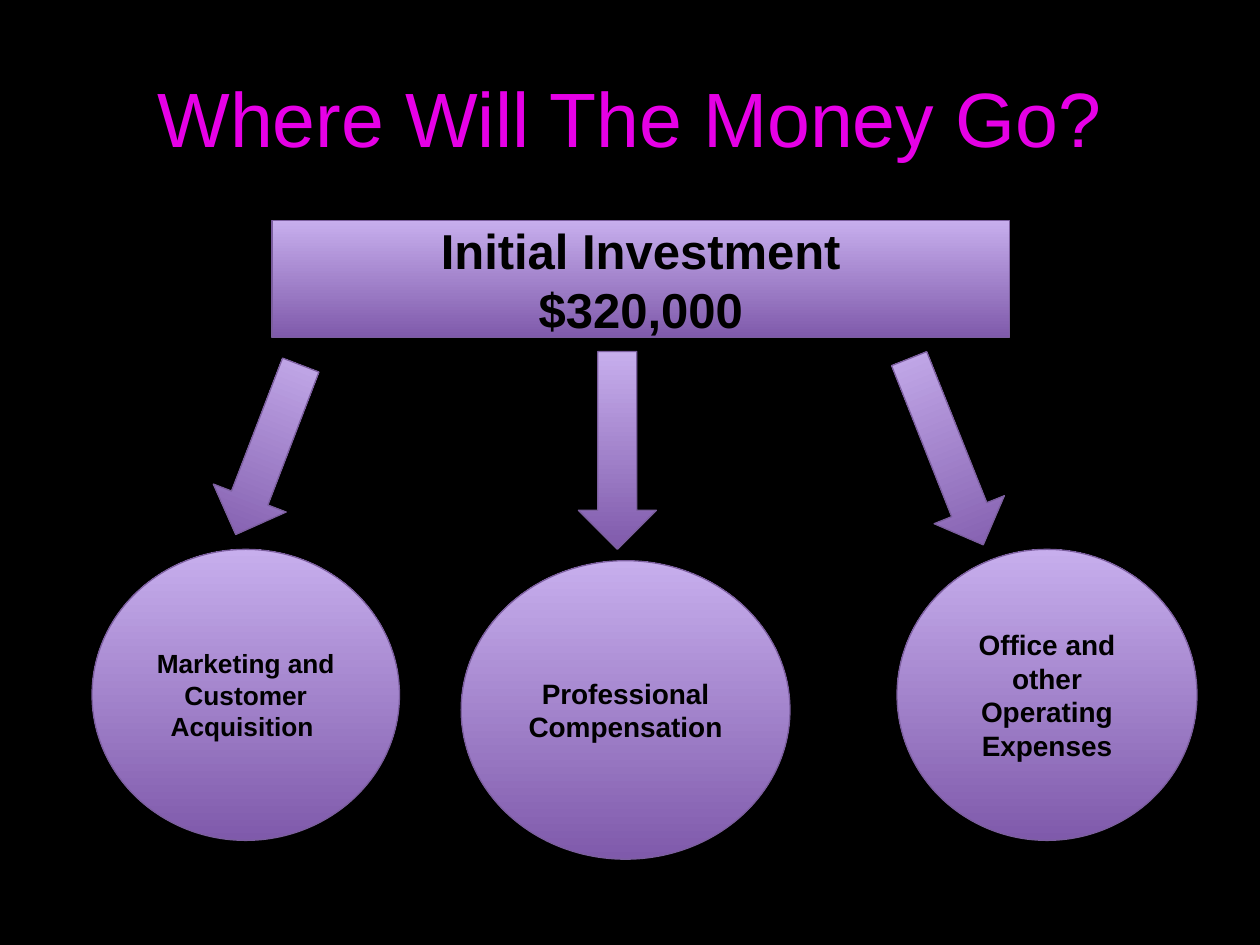
from pptx import Presentation
from pptx.dml.color import RGBColor
from pptx.enum.shapes import MSO_SHAPE
from pptx.enum.text import MSO_ANCHOR, PP_ALIGN
from pptx.util import Pt

COLORS = {
    "background": "000000",
    "title": "E600E6",
    "text": "000000",
    "dark": "7F5AAB",
    "light": "C7AEED",
    "outline": "7C5F9F",
}

FRAME_FORMAT = {
    "word_wrap": True,
    "vertical_anchor": MSO_ANCHOR.MIDDLE,
    "margin_left": Pt(7.2),
    "margin_right": Pt(7.2),
    "margin_top": Pt(3.6),
    "margin_bottom": Pt(3.6),
}

# Each use of money: arrow box, arrow rotation, circle box, label, text size
USES = [
    ((131, 205.2, 44.6, 103.7), 21, (52.6, 313.9, 175.7, 166.3),
     "Marketing and Customer Acquisition ", 15),
    ((330.5, 200.9, 44.6, 113), 0, (263.5, 320.4, 187.9, 170.6),
     "Professional Compensation", 16),
    ((519.1, 200.9, 43.2, 114.5), 338.3, (512.6, 313.9, 171.4, 166.3),
     "Office and other Operating Expenses", 16),
]


def color(name):
    return RGBColor.from_string(COLORS[name])


def set_attributes(target, values):
    for name, value in values.items():
        setattr(target, name, value)


def write_text(shape, text, size, color_name, bold):
    frame = shape.text_frame
    frame.text = text
    set_attributes(frame, FRAME_FORMAT)
    for paragraph in frame.paragraphs:
        paragraph.alignment = PP_ALIGN.CENTER
        for run in paragraph.runs:
            set_attributes(run.font, {"name": "Arial", "size": Pt(size), "bold": bold})
            run.font.color.rgb = color(color_name)


def add_title(slide, text):
    title = slide.shapes.title
    box = {"left": 36, "top": 21.6, "width": 648, "height": 90}
    set_attributes(title, {side: Pt(length) for side, length in box.items()})
    write_text(title, text, 44, "title", False)


def add_purple_shape(slide, kind, box, rotation=0):
    shape = slide.shapes.add_shape(kind, *map(Pt, box))
    shape.rotation = rotation
    shape.shadow.inherit = False
    # Gradient runs upwards, from dark to light
    shape.fill.gradient()
    shape.fill.gradient_angle = 90
    for stop, name, position in zip(shape.fill.gradient_stops, ("dark", "light"), (0, 1)):
        stop.color.rgb = color(name)
        stop.position = position
    shape.line.color.rgb = color("outline")
    shape.line.width = Pt(0.75)
    return shape


def add_labelled_shape(slide, kind, box, text, size):
    shape = add_purple_shape(slide, kind, box)
    write_text(shape, text, size, "text", True)


def main():
    deck = Presentation()
    deck.slide_width, deck.slide_height = Pt(720), Pt(540)
    slide = deck.slides.add_slide(deck.slide_layouts[5])
    slide.background.fill.solid()
    slide.background.fill.fore_color.rgb = color("background")

    add_title(slide, "Where Will The Money Go?")

    # Source of the money
    add_labelled_shape(slide, MSO_SHAPE.RECTANGLE, (155.5, 126, 421.2, 67),
                       "Initial Investment\n$320,000", 28)

    # Arrows leading to the three uses
    for arrow_box, rotation, circle_box, label, size in USES:
        add_purple_shape(slide, MSO_SHAPE.DOWN_ARROW, arrow_box, rotation)
        add_labelled_shape(slide, MSO_SHAPE.OVAL, circle_box, label, size)

    deck.save("out.pptx")


if __name__ == "__main__":
    main()
